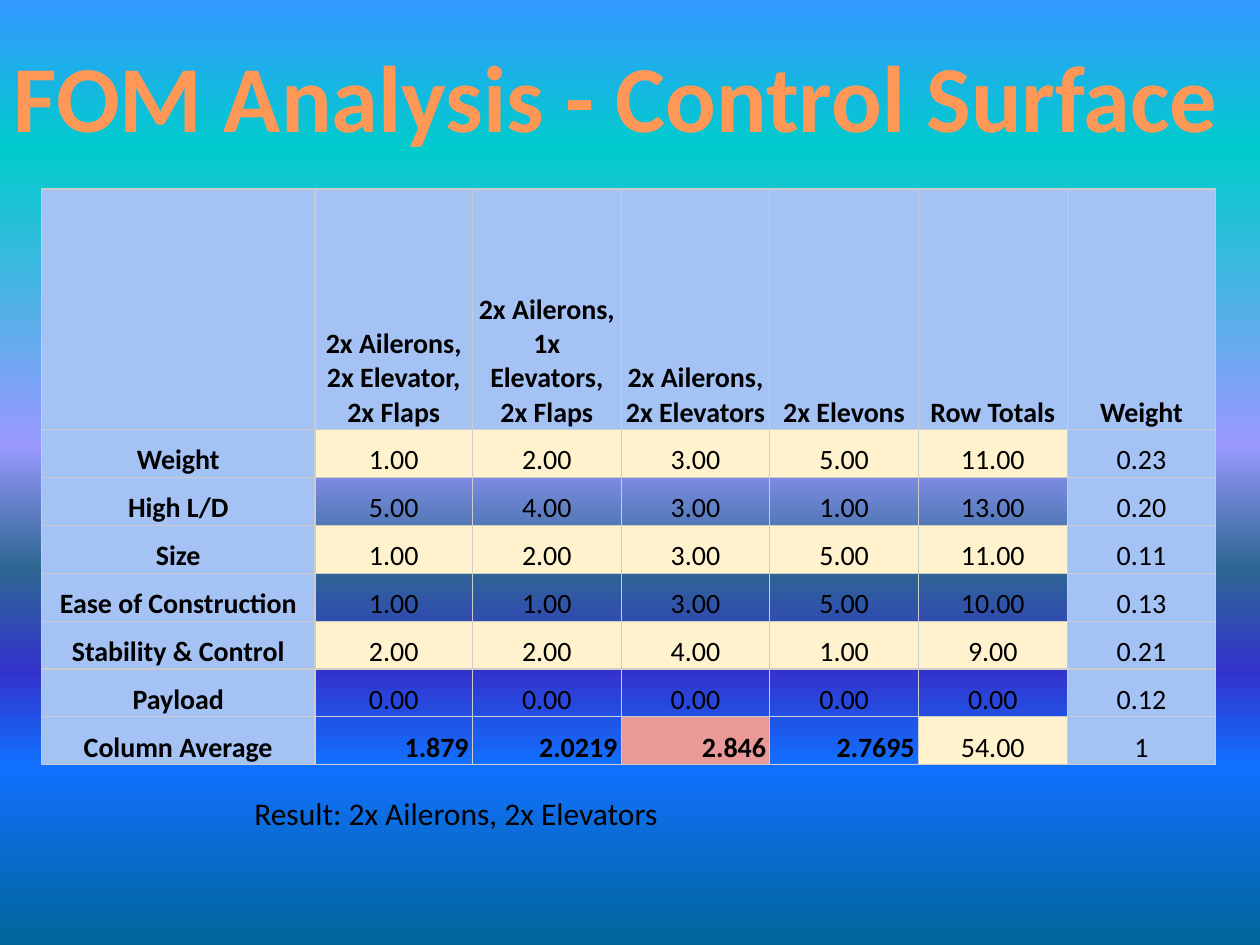
from lxml.etree import SubElement
from pptx import Presentation
from pptx.dml.color import RGBColor
from pptx.enum.text import MSO_ANCHOR as Anchor, MSO_AUTO_SIZE as AutoSize, PP_ALIGN as Align
from pptx.oxml.ns import qn
from pptx.util import Inches, Pt

BLACK = RGBColor(0x00, 0x00, 0x00)
HEADER_BLUE = RGBColor(0xA4, 0xC2, 0xF4)
BAND_CREAM = RGBColor(0xFF, 0xF2, 0xCC)
WINNER_PINK = RGBColor(0xEA, 0x99, 0x99)
BORDER_GREY = RGBColor(0xCC, 0xCC, 0xCC)
BACKGROUND_STOPS = [
    (0, RGBColor(0x33, 0x99, 0xFF)),
    (16, RGBColor(0x00, 0xCC, 0xCC)),
    (47, RGBColor(0x99, 0x99, 0xFF)),
    (60, RGBColor(0x2E, 0x67, 0x92)),
    (71, RGBColor(0x33, 0x33, 0xCC)),
    (81, RGBColor(0x11, 0x70, 0xFF)),
    (100, RGBColor(0x00, 0x66, 0x99)),
]
TITLE_STOPS = [
    (0, RGBColor(0x9D, 0x47, 0x00)),
    (78, RGBColor(0xFF, 0x98, 0x56)),
    (100, RGBColor(0xFF, 0xF5, 0xF1)),
]

COLUMN_WIDTHS = [2.17, 1.25] + [1.18] * 5
ROW_HEIGHTS = [1.91] + [0.38] * 7
WINNER_COLUMN = 3
SCORES = [
    ["", "2x Ailerons, 2x Elevator, 2x Flaps", "2x Ailerons, 1x Elevators, 2x Flaps",
     "2x Ailerons, 2x Elevators", "2x Elevons", "Row Totals", "Weight"],
    ["Weight", "1.00", "2.00", "3.00", "5.00", "11.00", "0.23"],
    ["High L/D", "5.00", "4.00", "3.00", "1.00", "13.00", "0.20"],
    ["Size", "1.00", "2.00", "3.00", "5.00", "11.00", "0.11"],
    ["Ease of Construction", "1.00", "1.00", "3.00", "5.00", "10.00", "0.13"],
    ["Stability & Control", "2.00", "2.00", "4.00", "1.00", "9.00", "0.21"],
    ["Payload", "0.00", "0.00", "0.00", "0.00", "0.00", "0.12"],
    ["Column Average", "1.879", "2.0219", "2.846", "2.7695", "54.00", "1"],
]


def set_values(target, values):
    """Set each named attribute of the target."""
    for name, value in values.items():
        setattr(target, name, value)


def set_gradient(fill, element, stops):
    """Give the fill inside the element a downward gradient."""
    fill.gradient()
    fill.gradient_angle = 270
    stop_list = next(element.iter(qn("a:gsLst")))
    stop_list.clear()
    for percent, color in stops:
        stop = SubElement(stop_list, qn("a:gs"), pos=str(percent * 1000))
        SubElement(stop, qn("a:srgbClr"), val=str(color))


def write_text(paragraph, text, align, size, bold=False):
    """Write one black run and return it."""
    paragraph.alignment = align
    run = paragraph.add_run()
    run.text = text
    set_values(run.font, {"name": "Calibri", "size": Pt(size), "bold": bold})
    run.font.color.rgb = BLACK
    return run


def add_text(slide, box, text, align, size, bold=False, wrap=True, stops=None):
    """Add a text box that grows with its text."""
    shape = slide.shapes.add_textbox(*map(Inches, box))
    set_values(shape.text_frame, {"word_wrap": wrap, "auto_size": AutoSize.SHAPE_TO_FIT_TEXT})
    run = write_text(shape.text_frame.paragraphs[0], text, align, size, bold)
    if stops:
        set_gradient(run.font.fill, shape.element, stops)


def add_borders(cell):
    """Draw a thin line on all four sides of a cell."""
    properties = cell._tc.get_or_add_tcPr()
    for side in ("a:lnL", "a:lnR", "a:lnT", "a:lnB"):
        line = SubElement(properties, qn(side), w=str(Pt(0.75)))
        solid = SubElement(line, qn("a:solidFill"))
        SubElement(solid, qn("a:srgbClr"), val=str(BORDER_GREY))


def cell_color(row, column, is_average):
    """Return the fill colour of a cell, or None for a clear cell."""
    if row == 0 or column in (0, len(COLUMN_WIDTHS) - 1):
        return HEADER_BLUE
    if is_average:
        return WINNER_PINK if column == WINNER_COLUMN else None
    return BAND_CREAM if row % 2 else None


def format_cell(cell, text, row, column):
    """Fill in one cell of the score table."""
    is_average = row == len(SCORES) - 1 and 1 <= column <= 4
    set_values(cell, {
        "vertical_anchor": Anchor.BOTTOM,
        "margin_left": Inches(0.03),
        "margin_right": Inches(0.03),
        "margin_top": 0,
        "margin_bottom": 0,
    })
    add_borders(cell)
    color = cell_color(row, column, is_average)
    if color is None:
        cell.fill.background()
    else:
        cell.fill.solid()
        cell.fill.fore_color.rgb = color
    if text:
        align = Align.RIGHT if is_average else Align.CENTER
        bold = row == 0 or column == 0 or is_average
        write_text(cell.text_frame.paragraphs[0], text, align, 16, bold)


def add_score_table(slide, left, top):
    """Add the table of scores, totals and weights."""
    size = map(Inches, (left, top, sum(COLUMN_WIDTHS), sum(ROW_HEIGHTS)))
    table = slide.shapes.add_table(len(ROW_HEIGHTS), len(COLUMN_WIDTHS), *size).table
    set_values(table, {"first_row": False, "horz_banding": False})
    for column, width in zip(table.columns, COLUMN_WIDTHS):
        column.width = Inches(width)
    for row, height in zip(table.rows, ROW_HEIGHTS):
        row.height = Inches(height)
    for row, texts in enumerate(SCORES):
        for column, text in enumerate(texts):
            format_cell(table.cell(row, column), text, row, column)


def main():
    """Build and save the slide."""
    presentation = Presentation()
    set_values(presentation, {"slide_width": Inches(10), "slide_height": Inches(7.5)})
    slide = presentation.slides.add_slide(presentation.slide_layouts[6])
    set_gradient(slide.background.fill, slide.element, BACKGROUND_STOPS)
    add_text(slide, (-0.04, 0.25, 9.86, 1.01), "FOM Analysis - Control Surface",
             Align.CENTER, 54, bold=True, wrap=False, stops=TITLE_STOPS)
    add_text(slide, (1.92, 6.25, 6.33, 0.4), "Result: 2x Ailerons, 2x Elevators", Align.LEFT, 18)
    add_score_table(slide, 0.33, 1.5)
    presentation.save("out.pptx")


if __name__ == "__main__":
    main()
